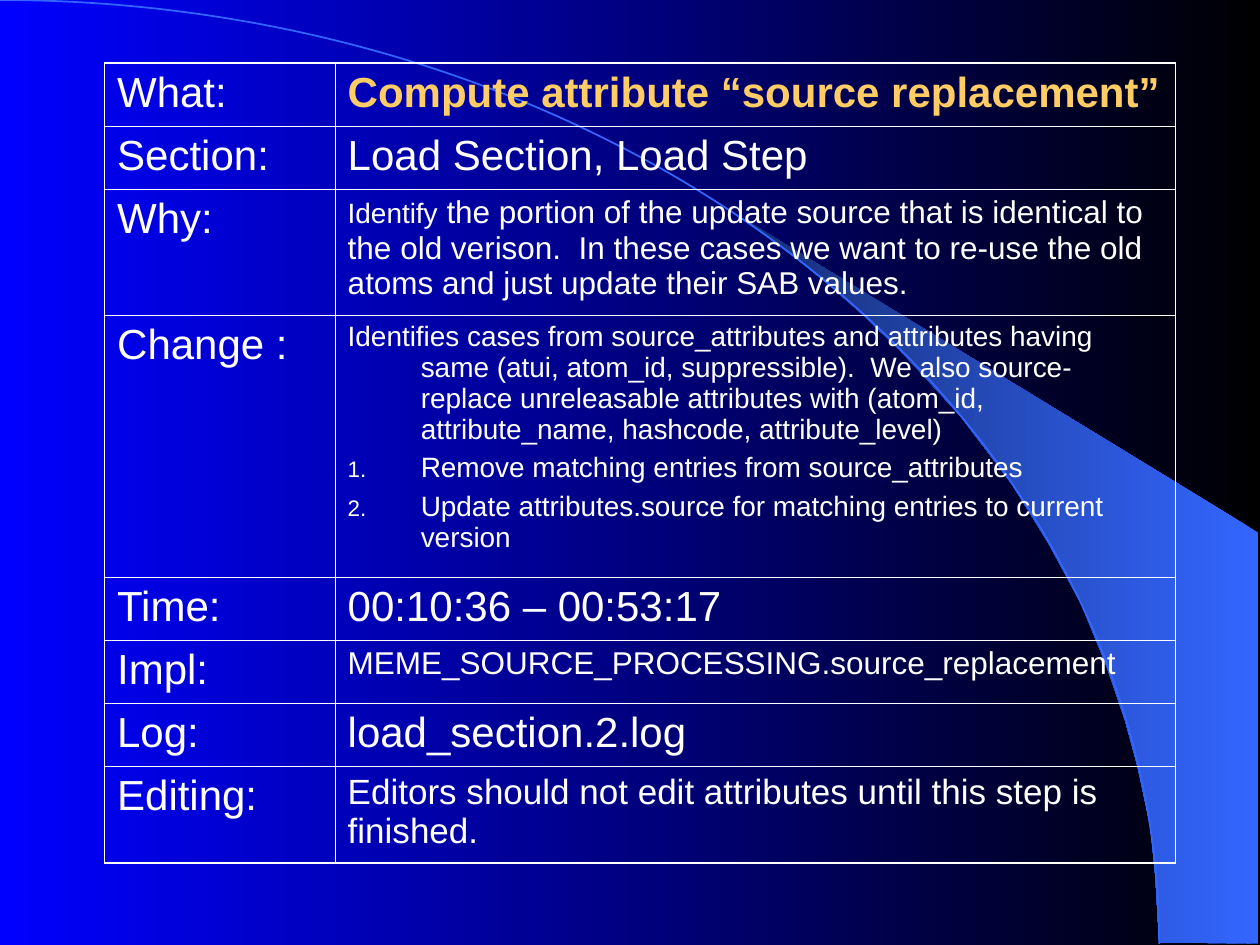
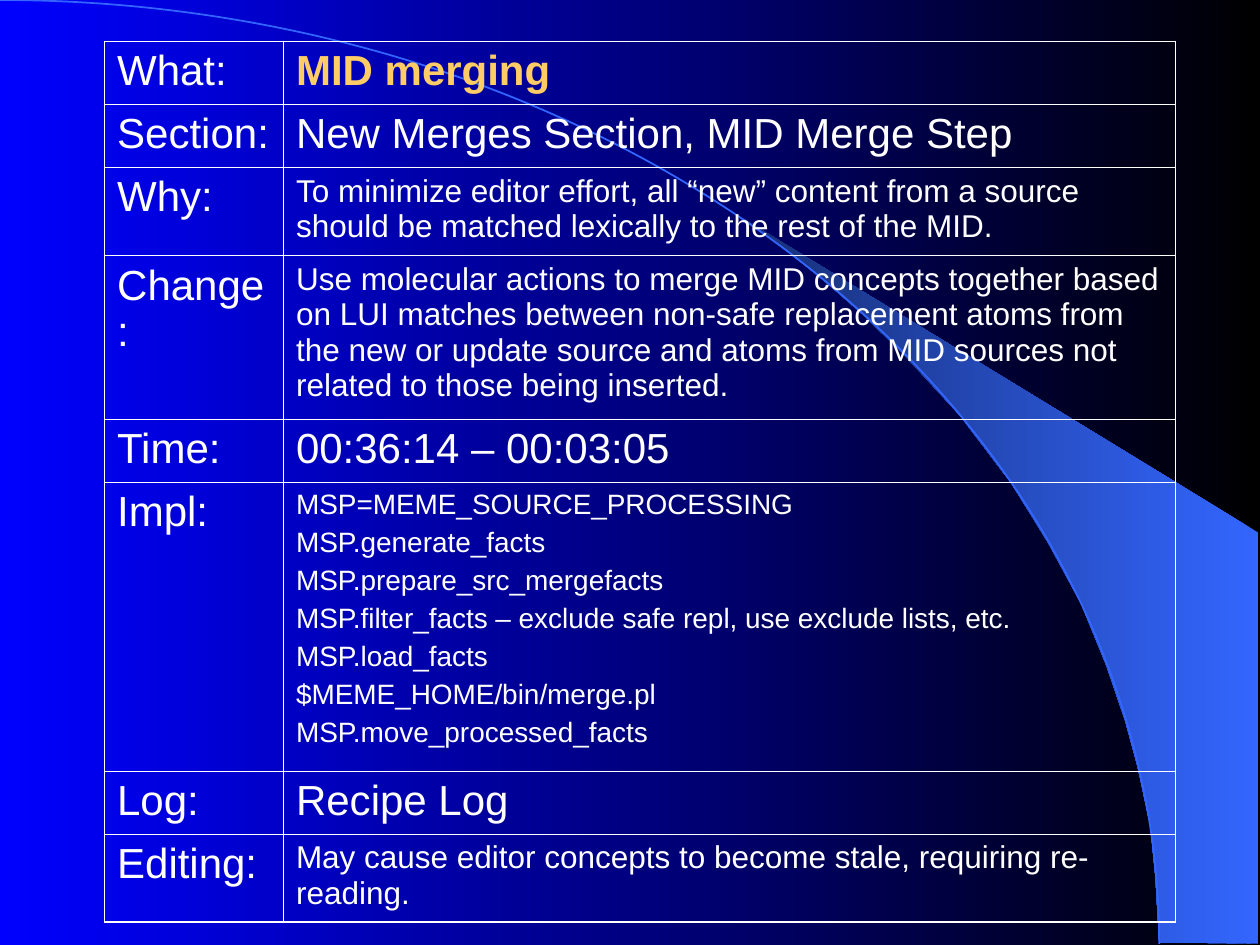
from lxml import etree
from pptx import Presentation
from pptx.dml.color import RGBColor
from pptx.enum.shapes import MSO_SHAPE
from pptx.oxml.ns import qn
from pptx.util import Inches, Pt

ARC = MSO_SHAPE.ARC
BLACK = RGBColor(0x00, 0x00, 0x00)
BLUE = RGBColor(0x00, 0x00, 0xFF)
SKY = RGBColor(0x33, 0x66, 0xFF)
NAVY = RGBColor(0x17, 0x2F, 0x75)
GOLD = RGBColor(0xFF, 0xCC, 0x66)
WHITE = RGBColor(0xFF, 0xFF, 0xFF)
FONT = "Arial"
THICK, THIN = 1.08, 0.45
HANG = 0.58
LABELS = ["What:", "Section:", "Why:", "Change :", "Time:", "Impl:", "Log:", "Editing:"]
WEDGE = [
    (9.2, 7.48), (9.99, 7.49), (9.99, 4.23), (5.89, 1.73), (6.24, 1.99), (6.53, 2.22),
    (6.85, 2.5), (7.16, 2.8), (7.62, 3.3), (8.03, 3.84), (8.32, 4.31), (8.58, 4.79),
    (8.78, 5.28), (8.93, 5.72), (9.03, 6.09), (9.13, 6.56), (9.17, 6.96),
]

REPLACE = {
    "box": (0.83, 0.5, 8.5, 6.34),
    "split": 1.83,
    "rows": [0.5, 0.5, 1, 2.08, 0.5, 0.5, 0.5, 0.77],
    "cells": [
        (24, ["Compute attribute “source replacement”"]),
        (24, ["Load Section, Load Step"]),
        (18, [[("Identify", 16), (
            " the portion of the update source that is identical to the old verison.  "
            "In these cases we want to re-use the old atoms and just update their SAB values.", 18)]]),
        (16, [
            "Identifies cases from source_attributes and attributes having same "
            "(atui, atom_id, suppressible).  We also source-replace unreleasable attributes "
            "with (atom_id, attribute_name, hashcode, attribute_level)",
            "Remove matching entries from source_attributes",
            "Update attributes.source for matching entries to current version",
        ]),
        (24, ["00:10:36 – 00:53:17"]),
        (18, ["MEME_SOURCE_PROCESSING.source_replacement"]),
        (24, ["load_section.2.log"]),
        (20, ["Editors should not edit attributes until this step is finished."]),
    ],
    "steps": 3,
}

MERGE = {
    "box": (0.83, 0.33, 8.5, 6.99),
    "split": 1.42,
    "rows": [0.5, 0.5, 0.7, 1.3, 0.5, 2.29, 0.5, 0.7],
    "cells": [
        (24, ["MID merging"]),
        (24, ["New Merges Section, MID Merge Step"]),
        (18, ["To minimize editor effort, all “new” content from a source should be matched "
              "lexically to the rest of the MID."]),
        (18, ["Use molecular actions to merge MID concepts together based on LUI matches between "
              "non-safe replacement atoms from the new or update source and atoms from MID sources "
              "not related to those being inserted."]),
        (24, ["00:36:14 – 00:03:05"]),
        (16, [
            "MSP=MEME_SOURCE_PROCESSING",
            "MSP.generate_facts",
            "MSP.prepare_src_mergefacts",
            "MSP.filter_facts – exclude safe repl, use exclude lists, etc.",
            "MSP.load_facts",
            "$MEME_HOME/bin/merge.pl",
            "MSP.move_processed_facts",
        ]),
        (24, ["Recipe Log"]),
        (18, ["May cause editor concepts to become stale, requiring re-reading."]),
    ],
    "steps": None,
}


def blend(fill, start, end):
    fill.gradient()
    fill.gradient_angle = 180
    for stop, color in zip(fill.gradient_stops, (start, end)):
        stop.color.rgb = color


def add_scene(slide, width, height):
    blend(slide.background.fill, BLACK, BLUE)
    first, *rest = [(Inches(x), Inches(y)) for x, y in WEDGE]
    pen = slide.shapes.build_freeform(*first)
    pen.add_line_segments(rest)
    wedge = pen.convert_to_shape()
    wedge.shadow.inherit = False
    blend(wedge.fill, SKY, NAVY)
    wedge.line.fill.background()
    curve = slide.shapes.add_shape(ARC, -width, 0, 2 * width, 2 * height)
    curve.shadow.inherit = False
    curve.fill.background()
    curve.line.color.rgb = SKY
    curve.line.width = Pt(1)


def add_edge(cell, side, points):
    edge = etree.SubElement(cell._tc.get_or_add_tcPr(), qn(f"a:ln{side}"), w=str(Pt(points)))
    fill = etree.SubElement(edge, qn("a:solidFill"))
    etree.SubElement(fill, qn("a:srgbClr"), val=str(WHITE))


def hang(para, number):
    props = para._p.get_or_add_pPr()
    props.set("marL", str(Inches(HANG)))
    props.set("indent", str(-Inches(HANG)))
    if number:
        color = etree.SubElement(props, qn("a:buClr"))
        etree.SubElement(color, qn("a:srgbClr"), val=str(WHITE))
        etree.SubElement(props, qn("a:buSzPct"), val="80000")
        etree.SubElement(props, qn("a:buAutoNum"), type="arabicPeriod")


def fill_cell(cell, paras, size, color=WHITE, bold=False, steps=False):
    frame = cell.text_frame
    for i, text in enumerate(paras):
        para = frame.add_paragraph() if i else frame.paragraphs[0]
        if steps:
            hang(para, i > 0)
        if i:
            para.space_before = Pt(size / 4)
        if isinstance(text, str):
            para.text = text
            para.font.size = Pt(size)
        else:
            for words, points in text:
                run = para.add_run()
                run.text = words
                run.font.size = Pt(points)
        para.font.name = FONT
        para.font.bold = bold
        para.font.color.rgb = color


def add_grid(slide, data):
    left, top, width, height = data["box"]
    last = len(LABELS) - 1
    grid = slide.shapes.add_table(
        len(LABELS), 2, Inches(left), Inches(top), Inches(width), Inches(height)).table
    grid.first_row = grid.horz_banding = False
    grid.columns[0].width = Inches(data["split"])
    grid.columns[1].width = Inches(width - data["split"])
    for r, (label, tall, (size, paras)) in enumerate(zip(LABELS, data["rows"], data["cells"])):
        grid.rows[r].height = Inches(tall)
        fill_cell(grid.cell(r, 0), [label], 24)
        fill_cell(grid.cell(r, 1), paras, size, WHITE if r else GOLD, r == 0, r == data["steps"])
        for c in range(2):
            cell = grid.cell(r, c)
            outer = {"L": c == 0, "R": c == 1, "T": r == 0, "B": r == last}
            for side, edge in outer.items():
                add_edge(cell, side, THICK if edge else THIN)
            cell.fill.background()


def main():
    deck = Presentation()
    deck.slide_width = Inches(10)
    deck.slide_height = Inches(7.5)
    for data in (REPLACE, MERGE):
        slide = deck.slides.add_slide(deck.slide_layouts[6])
        add_scene(slide, Inches(9.2), Inches(7.49))
        add_grid(slide, data)
    deck.save("out.pptx")


if __name__ == "__main__":
    main()
